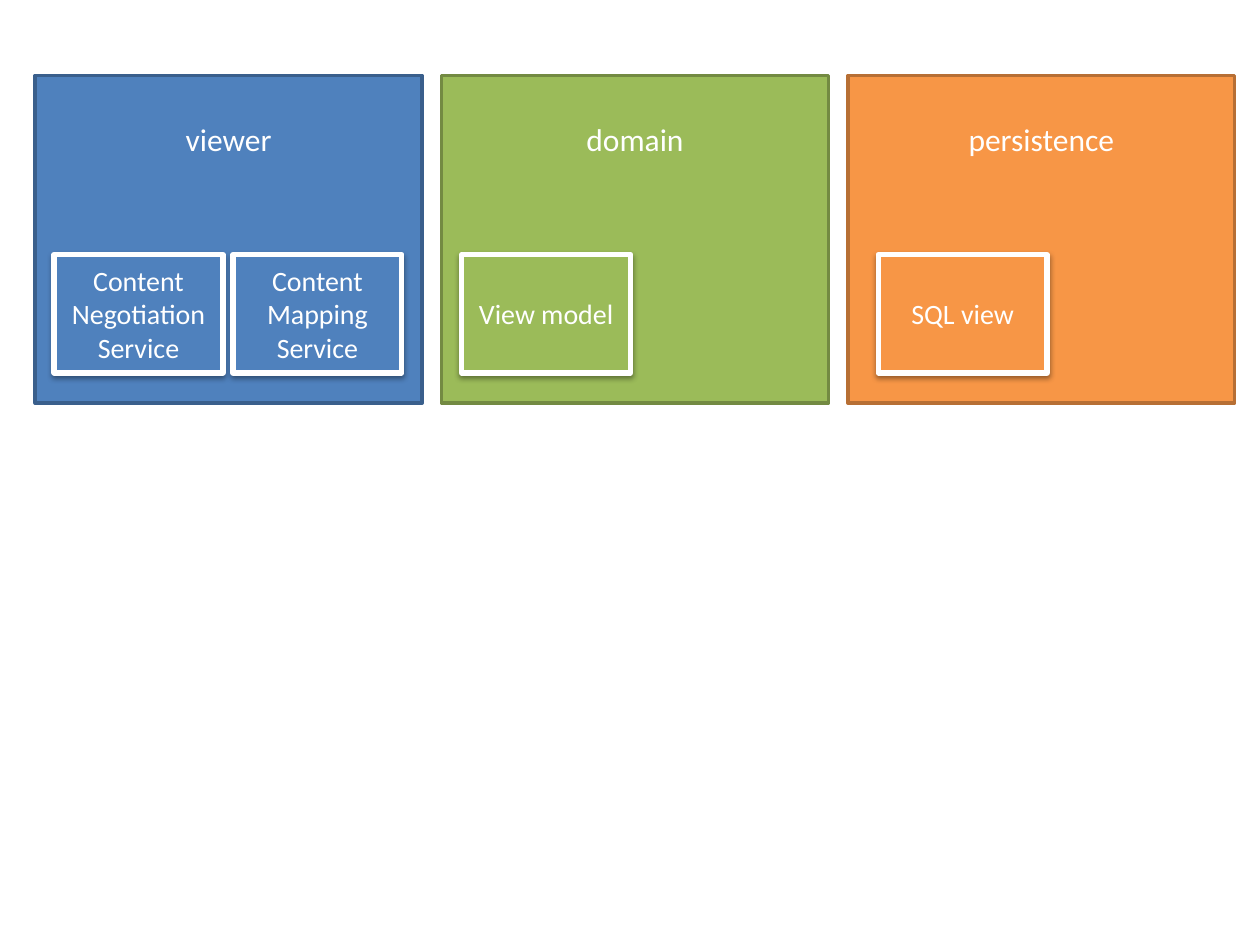
from lxml import etree
from pptx import Presentation
from pptx.dml.color import RGBColor
from pptx.enum.shapes import MSO_SHAPE
from pptx.enum.text import MSO_ANCHOR, PP_ALIGN
from pptx.oxml.ns import qn
from pptx.util import Inches, Pt

RECT = MSO_SHAPE.RECTANGLE
TOP, MIDDLE = MSO_ANCHOR.TOP, MSO_ANCHOR.MIDDLE
CENTER = PP_ALIGN.CENTER
WHITE = "FFFFFF"

LEFT, HEAD = 0.28, 0.6
STEP = 3.225
WIDE, HIGH = 3.07, 2.6
CARD_W, CARD_H = 1.34, 0.94
CARD_TOP, CARD_STEP = 1.42, 1.42

# name, fill, edge, inset of the first card, cards
LAYERS = [
    ("viewer", "4F81BD", "3A5F8C", 0.15,
     ["Content\vNegotiation\vService", "Content\vMapping\vService"]),
    ("domain", "9BBB59", "738A42", 0.16, ["View model"]),
    ("persistence", "F79646", "B76F34", 0.24, ["SQL view"]),
]


def color(code):
    return RGBColor.from_string(code)


def write(shape, text, size=16, anchor=MIDDLE, top=0.05):
    frame = shape.text_frame
    frame.word_wrap = True
    frame.vertical_anchor = anchor
    frame.margin_top = Inches(top)
    para = frame.paragraphs[0]
    para.text = text
    para.alignment = CENTER
    for run in para.runs:
        run.font.name = "Calibri"
        run.font.size = Pt(size)
        run.font.color.rgb = color(WHITE)


def block(slide, box, fill, edge, width):
    shape = slide.shapes.add_shape(RECT, *map(Inches, box))
    shape.shadow.inherit = False
    shape.fill.solid()
    shape.fill.fore_color.rgb = color(fill)
    shape.line.color.rgb = color(edge)
    shape.line.width = Pt(width)
    return shape


def shade(shape):
    """Give the shape a soft shadow straight below it."""
    effects = shape.element.spPr.find(qn("a:effectLst"))
    outer = etree.SubElement(
        effects, qn("a:outerShdw"), blurRad=str(Pt(3.1)), dist=str(Pt(1.6)),
        dir="5400000", rotWithShape="0")
    tone = etree.SubElement(outer, qn("a:srgbClr"), val="000000")
    etree.SubElement(tone, qn("a:alpha"), val="38000")


def layer(slide, box, name, fill, edge, inset, cards):
    left, top = box[:2]
    panel = block(slide, box, fill, edge, 2)
    write(panel, name, size=18, anchor=TOP, top=0.35)
    for i, text in enumerate(cards):
        place = (left + inset + i * CARD_STEP, top + CARD_TOP, CARD_W, CARD_H)
        card = block(slide, place, fill, WHITE, 3)
        shade(card)
        write(card, text)


def main():
    deck = Presentation()
    deck.slide_width, deck.slide_height = Inches(10), Inches(7.5)
    slide = deck.slides.add_slide(deck.slide_layouts[6])
    for i, parts in enumerate(LAYERS):
        layer(slide, (LEFT + i * STEP, HEAD, WIDE, HIGH), *parts)
    deck.save("out.pptx")


if __name__ == "__main__":
    main()
